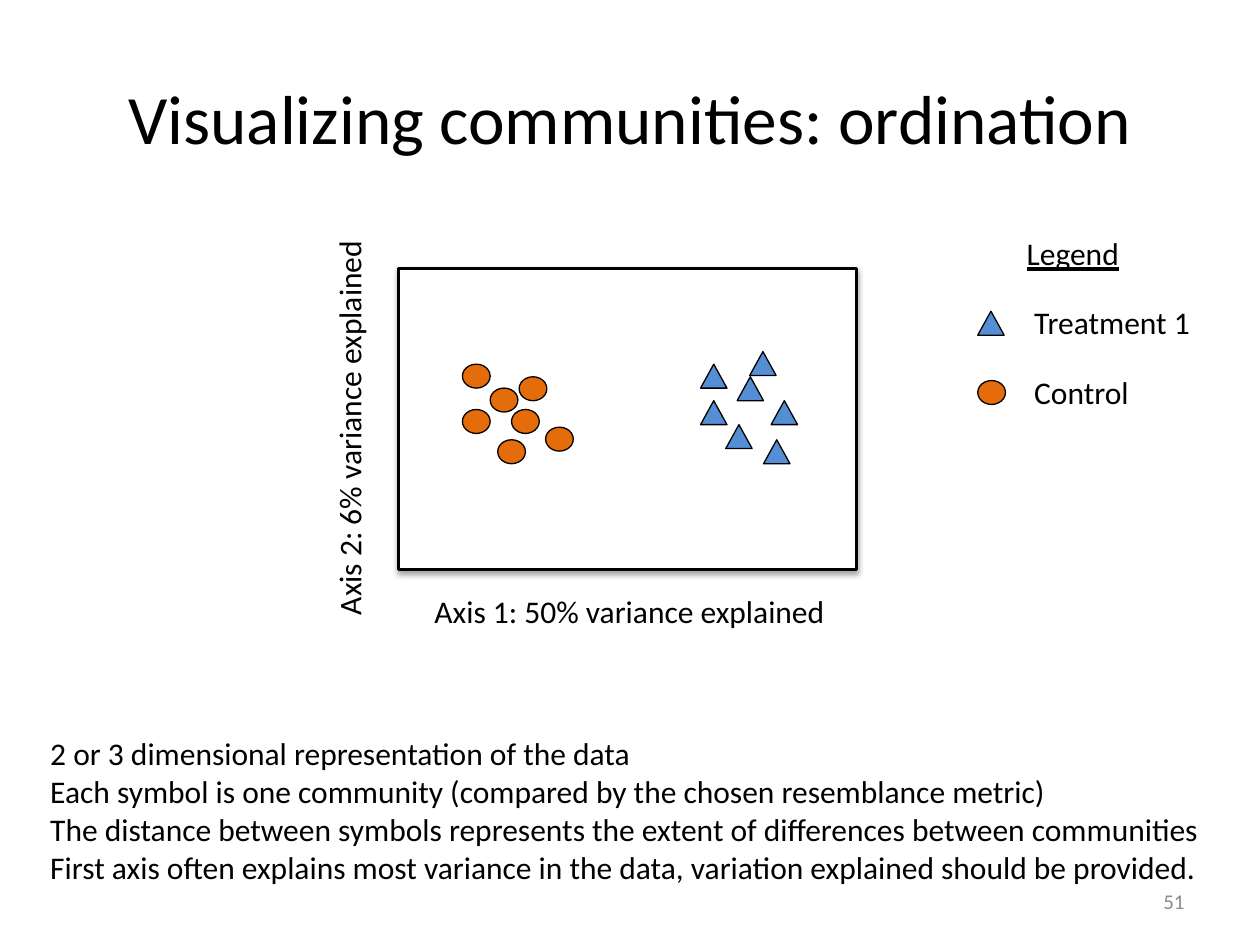
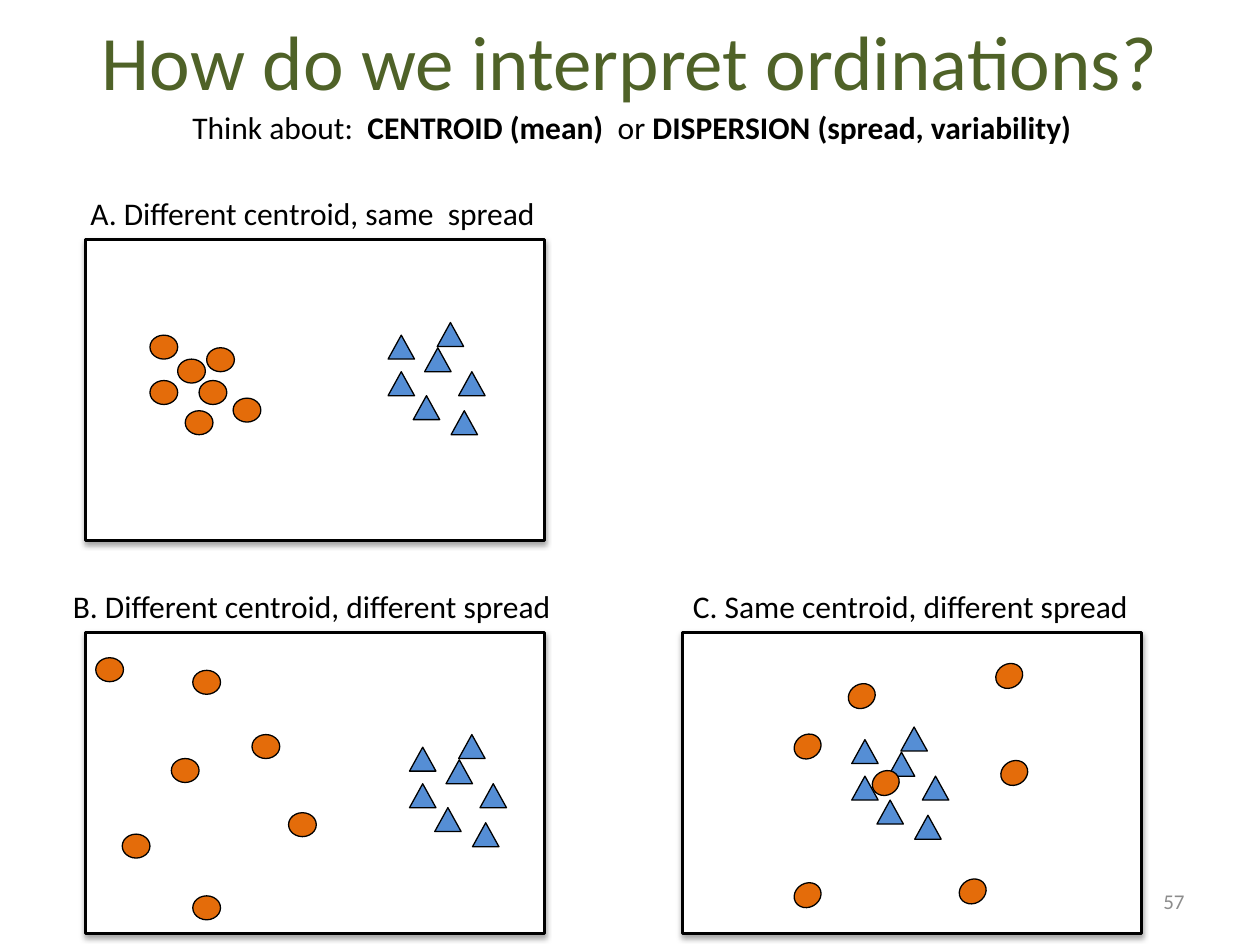
import lxml.etree
import pptx
import pptx.dml.color
import pptx.enum.shapes
import pptx.enum.text
import pptx.oxml
import pptx.oxml.ns
import pptx.util

prs = pptx.Presentation()
prs.slide_width, prs.slide_height = pptx.util.Inches(10), pptx.util.Inches(7.5)
blank = prs.slide_layouts[6]

# Shared grid: 100 columns by 75 rows of square cells
cell = prs.slide_width // 100

# Shared style
rgb = pptx.dml.color.RGBColor.from_string
FONT, BLACK, WHITE, GREEN, GRAY = "Calibri", "000000", "FFFFFF", "4F6228", "8C8C8C"
ORANGE, BLUE = "E46C0A", "558ED5"
PP, ANCHOR = pptx.enum.text.PP_ALIGN, pptx.enum.text.MSO_ANCHOR
FIT = pptx.enum.text.MSO_AUTO_SIZE
MSO = pptx.enum.shapes.MSO_SHAPE
FRAME = (MSO.RECTANGLE, 36.4, 23.9, WHITE, 1.75)
CIRCLE = (MSO.OVAL, 2.2, 1.9, ORANGE, 0.75)
TRIANGLE = (MSO.ISOSCELES_TRIANGLE, 2.1, 1.9, BLUE, 0.75)
SHADOW = (
    '<a:effectLst xmlns:a="http://schemas.openxmlformats.org/drawingml/2006/main">'
    '<a:outerShdw blurRad="40000" dist="23000" dir="5400000" rotWithShape="0">'
    '<a:srgbClr val="000000"><a:alpha val="35000"/></a:srgbClr>'
    '</a:outerShdw></a:effectLst>'
)

# Symbol places, in cells from the corner of the plot frame
TREATED = [(27.9, 6.6), (24, 7.6), (26.9, 8.6), (24, 10.5),
           (29.6, 10.5), (26, 12.4), (29, 13.6)]
TIGHT = [(7.3, 9.5), (9, 11.2), (9.6, 8.6), (7.9, 13.6),
         (11.7, 12.6), (5.1, 7.6), (5.1, 11.2)]
SPREAD_LEFT = [(6.8, 10), (13.2, 8.1), (8.5, 3), (8.5, 20.9),
               (16.1, 14.3), (0.8, 2), (2.9, 16)]
SPREAD_AROUND = [(15, 11), (24.8, 2.5), (13.1, 4.1), (21.9, 19.6),
                 (25.2, 10.2), (8.8, 8.1), (8.8, 19.9)]


def add_symbol(shapes, kind, x, y, turn=0):
    preset, w, h, fill, line = kind
    sp = shapes.add_shape(preset, *(round(v * cell) for v in (x, y, w, h)))
    sp.rotation = turn
    sp.shadow.inherit = False
    sp.fill.solid()
    sp.fill.fore_color.rgb = rgb(fill)
    sp.line.color.rgb = rgb(BLACK)
    sp.line.width = pptx.util.Pt(line)
    return sp


def add_text(shapes, box, paragraphs, size=18, color=BLACK, align=PP.LEFT,
             anchor=ANCHOR.TOP, wrap=False, fit=FIT.SHAPE_TO_FIT_TEXT):
    """Each paragraph is a list of (text, style); style holds b or u."""
    sp = shapes.add_textbox(*(round(v * cell) for v in box))
    tf = sp.text_frame
    tf.word_wrap, tf.auto_size, tf.vertical_anchor = wrap, fit, anchor
    for i, runs in enumerate(paragraphs):
        p = tf.add_paragraph() if i else tf.paragraphs[0]
        p.alignment = align
        for text, style in runs:
            r = p.add_run()
            r.text = text
            r.font.name, r.font.size = FONT, pptx.util.Pt(size)
            r.font.color.rgb = rgb(color)
            r.font.bold = "b" in style
            r.font.underline = "u" in style
    return sp


# Slides with their titles
slides = []
for title, box, size, color in [
    ("Visualizing communities: ordination", (5, 3, 90, 12.5), 39.6, BLACK),
    ("How do we interpret ordinations?", (0, -1.5, 100, 12.5), 44, GREEN),
]:
    s = prs.slides.add_slide(blank)
    add_text(s.shapes, box, [[(title, "")]], size, color, PP.CENTER,
             ANCHOR.MIDDLE, True, FIT.NONE)
    slides.append(s)
overview, interpret = slides

# Subtitle of the second slide
add_text(interpret.shapes, (6.7, 8.1, 86.9, 4), [[
    ("Think about:  ", ""), ("CENTROID (mean)  ", "b"), ("or ", ""),
    ("DISPERSION (spread, variability)", "b"),
]], align=PP.CENTER, wrap=True)

# Ordination plots: slide, corner, control places, triangle shift, tilt, caption
LEFT, RIGHT, UPPER, LOWER = 6.8, 54.2, 19, 50.2
plots = [
    (overview, 31.6, 21.3, TIGHT, (0, 0), 0, None),
    (interpret, LEFT, UPPER, TIGHT, (0, 0), 0,
     ("A. Different centroid, same  spread", 6.2, 37.6)),
    (interpret, LEFT, LOWER, SPREAD_LEFT, (1.7, 1.5), 0,
     ("B. Different centroid, different spread", 4.8, 40.3)),
    (interpret, RIGHT, LOWER, SPREAD_AROUND, (-10.6, 0.9), 330.4,
     ("C. Same centroid, different spread", 54, 36.9)),
]
for s, left, top, controls, (dx, dy), tilt, caption in plots:
    shapes = s.shapes.add_group_shape().shapes
    frame = add_symbol(shapes, FRAME, left, top)
    pr = frame.element.spPr
    pr.replace(pr.find(pptx.oxml.ns.qn("a:effectLst")), pptx.oxml.parse_xml(SHADOW))
    for x, y in TREATED:
        add_symbol(shapes, TRIANGLE, left + x + dx, top + y + dy)
    for x, y in controls:
        add_symbol(shapes, CIRCLE, left + x, top + y, tilt)
    if caption:
        text, x, w = caption
        add_text(shapes, (x, top - 4.1, w, 4), [[(text, "")]])

# Axis labels
add_text(overview.shapes, (33.5, 46.5, 33.3, 4), [[("Axis 1: 50% variance explained", "")]])
axis = add_text(overview.shapes, (11.7, 31.8, 32, 4), [[("Axis 2: 6% variance explained", "")]])
axis.rotation = 270

# Legend
legend = overview.shapes.add_group_shape().shapes
add_text(legend, (80.5, 18.1, 9.4, 4), [[("Legend", "u")]])
for i, (kind, label, w) in enumerate([(TRIANGLE, "Treatment 1", 14.5), (CIRCLE, "Control", 9.6)]):
    y = 23.6 + 5.5 * i
    add_symbol(legend, kind, 77.6, y + 1.1)
    add_text(legend, (81.1, y, w, 4), [[(label, "")]])

# Notes on reading an ordination
add_text(overview.shapes, (3, 57.8, 94.1, 16.2), [[(line, "")] for line in (
    "2 or 3 dimensional representation of the data",
    "Each symbol is one community (compared by the chosen resemblance metric)",
    "The distance between symbols represents the extent of differences between communities",
    "First axis often explains most variance in the data, variation explained should be provided.",
)])

# Slide numbers
for s, number in zip(slides, ("51", "57")):
    add_text(s.shapes, (71.7, 69.5, 23.3, 4), [[(number, "")]], 12, GRAY,
             PP.RIGHT, ANCHOR.MIDDLE, True, FIT.NONE)

prs.save("out.pptx")
